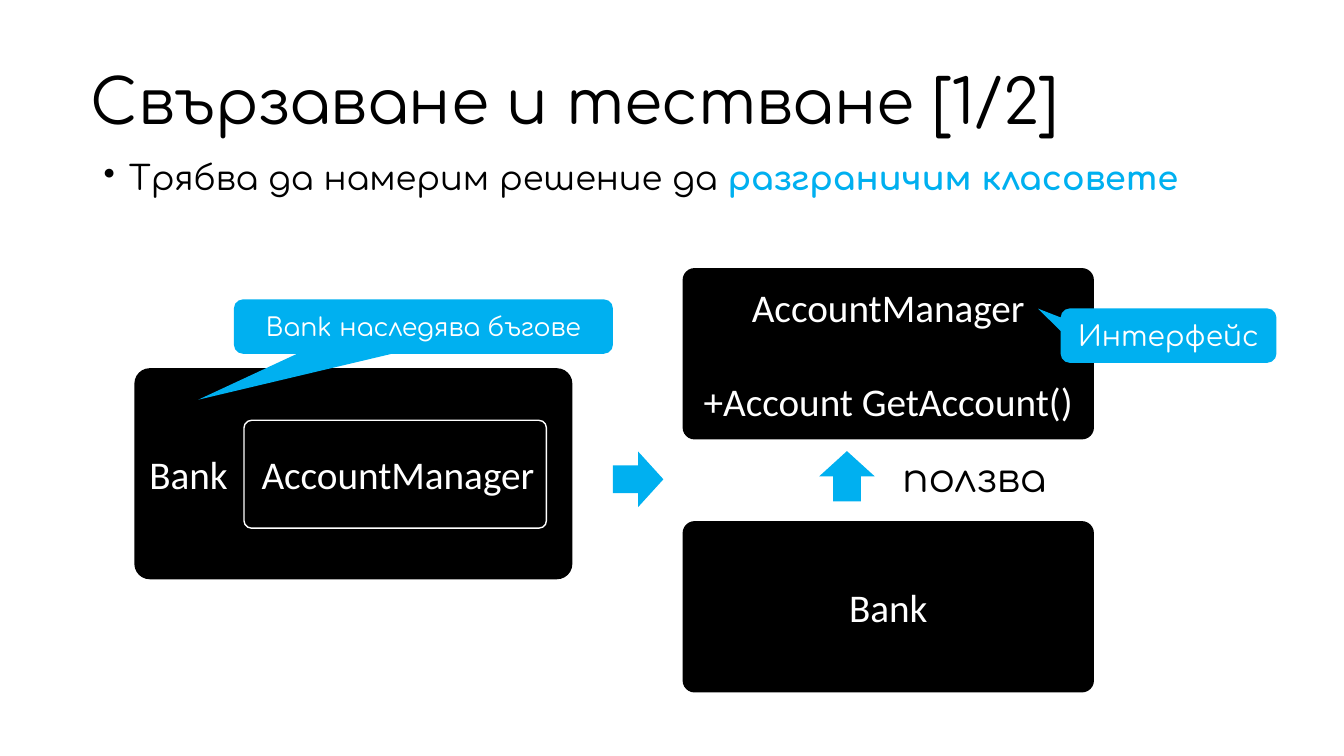
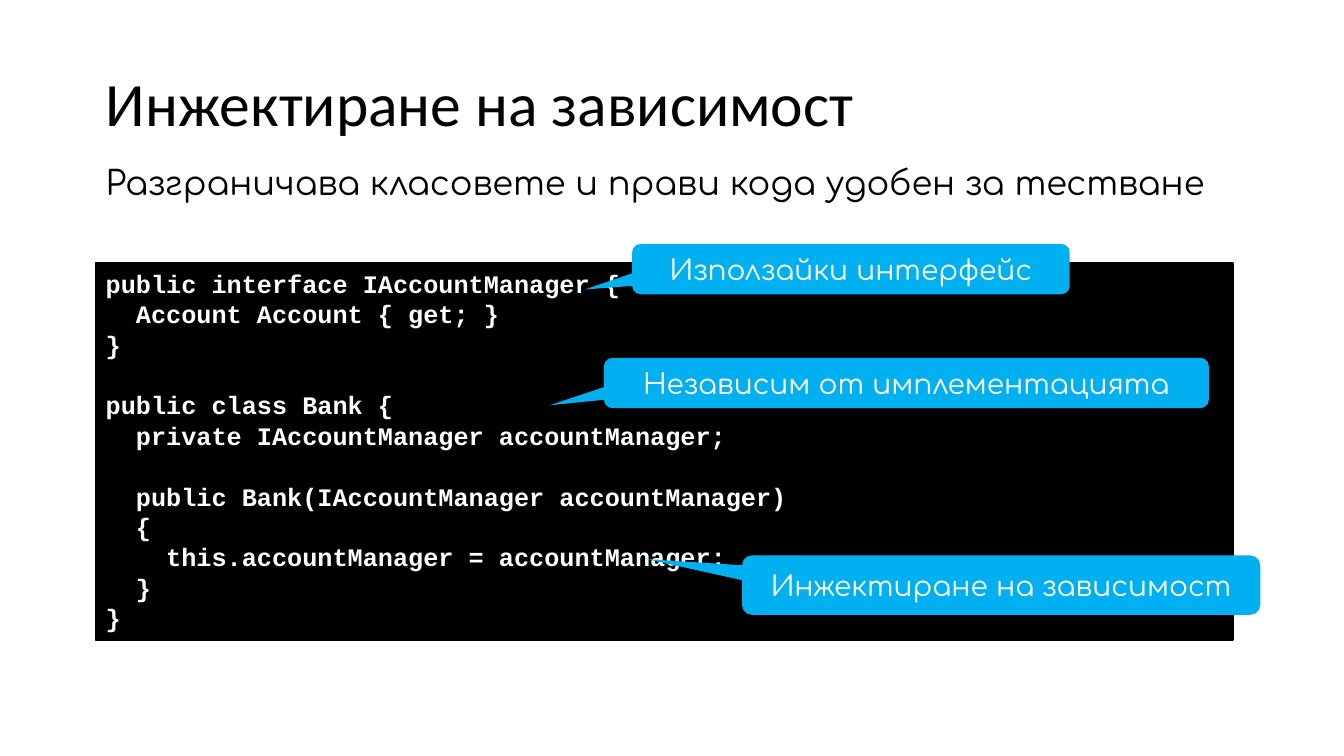
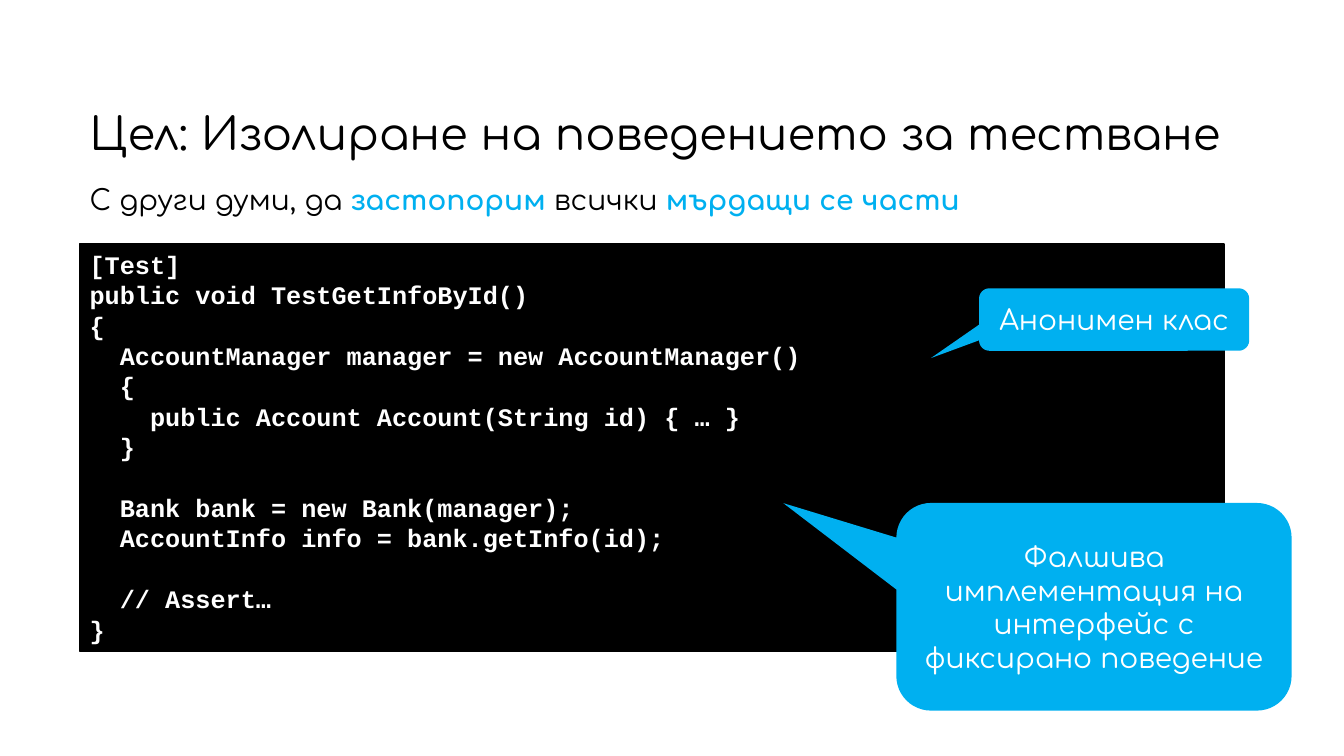
import dataclasses

import pptx
import pptx.dml.color
import pptx.enum.shapes
import pptx.enum.text
import pptx.oxml.ns
import pptx.util
from lxml import etree

Inches = pptx.util.Inches
Shapes = pptx.enum.shapes.MSO_SHAPE
Align = pptx.enum.text.PP_ALIGN
Anchor = pptx.enum.text.MSO_ANCHOR


@dataclasses.dataclass(frozen=True)
class Theme:
    black: str = "000000"
    white: str = "FFFFFF"
    accent: str = "00B0F0"
    display_font: str = "Comfortaa"
    plain_font: str = "Calibri"
    code_font: str = "Courier New"
    title_size: float = 44
    long_title_size: float = 32
    body_size: float = 24
    diagram_size: float = 28
    diagram_line: float = 34
    callout_size: float = 20
    small_size: float = 18
    code_line: float = 21.7
    text_spacing: float = 0.9
    box_corner: float = 0.07
    callout_corner: float = 0.167


THEME = Theme()

INTERFACE_CODE = """public interface IAccountManager {
  Account Account { get; }
}

public class Bank {
  private IAccountManager accountManager;

  public Bank(IAccountManager accountManager)
  {
    this.accountManager = accountManager;
  }
}"""

TEST_CODE = """[Test]
public void TestGetInfoById()
{
  AccountManager manager = new AccountManager()
  {
    public Account Account(String id) { … }
  }

  Bank bank = new Bank(manager);
  AccountInfo info = bank.getInfo(id);

  // Assert…
}"""


def rgb(color):
    return pptx.dml.color.RGBColor.from_string(color)


def add_bullet(paragraph, indent=0.25):
    properties = paragraph._p.get_or_add_pPr()
    properties.set("marL", str(Inches(indent)))
    properties.set("indent", str(-Inches(indent)))
    bullet = etree.SubElement(properties, pptx.oxml.ns.qn("a:buChar"))
    bullet.set("char", "•")


def write_text(shape, lines, size, font=THEME.display_font, color=THEME.black,
               bold=False, align=Align.LEFT, anchor=Anchor.TOP,
               spacing=None, gap=0, bullet=False):
    """Fill a shape; a line is a string or (text, emphasised) pairs.

    An empty line becomes a space of `gap` points before the next one.
    """
    frame = shape.text_frame
    frame.word_wrap = True
    frame.vertical_anchor = anchor
    paragraph, space = frame.paragraphs[0], 0
    for index, line in enumerate(lines):
        if not line:
            space += gap
            continue
        if index:
            paragraph = frame.add_paragraph()
        if bullet:
            add_bullet(paragraph)
        paragraph.alignment = align
        if spacing:
            paragraph.line_spacing = spacing
        if space:
            paragraph.space_before = pptx.util.Pt(space)
            space = 0
        for text, emphasised in [(line, False)] if isinstance(line, str) else line:
            run = paragraph.add_run()
            run.text = text
            run.font.name = font
            run.font.size = pptx.util.Pt(size)
            run.font.bold = bold or emphasised
            run.font.color.rgb = rgb(THEME.accent if emphasised else color)


def add_text(slide, box, line, size, **text_format):
    shape = slide.shapes.add_textbox(*map(Inches, box))
    write_text(shape, [line], size, **text_format)


def add_title(slide, box, text, size=THEME.title_size, font=THEME.display_font):
    add_text(slide, box, text, size, font=font, anchor=Anchor.MIDDLE,
             spacing=THEME.text_spacing)


def add_body(slide, box, line, size=THEME.body_size, bullet=False):
    add_text(slide, box, line, size, spacing=THEME.text_spacing, bullet=bullet)


def add_block(slide, kind, box, fill, line=None, adjustments=()):
    shape = slide.shapes.add_shape(kind, *map(Inches, box))
    shape.shadow.inherit = False
    shape.fill.solid()
    shape.fill.fore_color.rgb = rgb(fill)
    if line:
        shape.line.color.rgb = rgb(line)
        shape.line.width = pptx.util.Pt(1)
    else:
        shape.line.fill.background()
    for index, value in enumerate(adjustments):
        shape.adjustments[index] = value
    return shape


def add_class_box(slide, box, lines, line=None, align=Align.CENTER):
    shape = add_block(slide, Shapes.ROUNDED_RECTANGLE, box, THEME.black, line,
                      [THEME.box_corner])
    write_text(shape, lines, THEME.diagram_size, font=THEME.plain_font,
               color=THEME.white, align=align, anchor=Anchor.MIDDLE,
               gap=THEME.diagram_line)


def add_callout(slide, box, tip, text, size=THEME.callout_size):
    shape = add_block(slide, Shapes.ROUNDED_RECTANGULAR_CALLOUT, box, THEME.accent,
                      adjustments=(*tip, THEME.callout_corner))
    write_text(shape, [text], size, color=THEME.white, align=Align.CENTER,
               anchor=Anchor.MIDDLE)


def add_arrow(slide, left, top, rotation=0):
    arrow = add_block(slide, Shapes.RIGHT_ARROW, (left, top, 0.5, 0.55), THEME.accent)
    arrow.rotation = rotation


def add_code(slide, box, code):
    shape = add_block(slide, Shapes.RECTANGLE, box, THEME.black, THEME.black)
    write_text(shape, code.split("\n"), THEME.small_size, font=THEME.code_font,
               color=THEME.white, bold=True,
               spacing=pptx.util.Pt(THEME.code_line), gap=THEME.code_line)


def build_coupling(slide):
    add_title(slide, (0.8, 0.54, 11.74, 0.99), "Свързаване и тестване [1/2]")
    add_body(slide, (0.93, 1.55, 11.5, 0.6),
             [("Трябва да намерим решение да ", False),
              ("разграничим класовете", True)], bullet=True)
    # Coupled classes
    add_class_box(slide, (1.34, 3.66, 4.33, 2.08), ["Bank"], THEME.black, Align.LEFT)
    add_class_box(slide, (2.42, 4.17, 3, 1.07), ["AccountManager"], THEME.white,
                  Align.RIGHT)
    add_arrow(slide, 6.08, 4.48)
    # Separated classes
    add_class_box(slide, (6.77, 2.66, 4.08, 1.7),
                  ["AccountManager", "", "+Account GetAccount()"])
    add_class_box(slide, (6.77, 5.17, 4.08, 1.7), ["Bank"])
    add_arrow(slide, 8.15, 4.45, rotation=270)
    add_text(slide, (8.85, 4.45, 1.67, 0.57), "ползва", THEME.diagram_size)
    # Remarks
    add_callout(slide, (10.52, 3.06, 2.14, 0.54), (-0.605, -0.495), "Интерфейс")
    add_callout(slide, (2.32, 2.97, 3.76, 0.54), (-0.594, 1.344),
                "Bank наследява бъгове", THEME.small_size)


def build_injection(slide):
    left, width = 0.95, 11.28
    add_title(slide, (left, 0.52, width, 1.08), "Инжектиране на зависимост",
              font=THEME.plain_font)
    add_body(slide, (left, 1.6, width, 0.75),
             "Разграничава класовете и прави кода удобен за тестване")
    add_code(slide, (left, 2.61, width, 3.74), INTERFACE_CODE)
    add_callout(slide, (6.27, 2.42, 4.34, 0.5), (-0.608, 0.404),
                "Използайки интерфейс")
    add_callout(slide, (5.99, 3.55, 6, 0.5), (-0.59, 0.442),
                "Независим от имплементацията")
    add_callout(slide, (7.36, 5.51, 5.14, 0.59), (-0.684, -0.437),
                "Инжектиране на зависимост")


def build_isolation(slide):
    left, width = 0.79, 11.86
    add_title(slide, (left, 0.87, width, 0.95),
              "Цел: Изолиране на поведението за тестване", THEME.long_title_size)
    add_body(slide, (left, 1.8, width, 0.62),
             [("С други думи, да ", False), ("застопорим ", True),
              ("всички ", False), ("мърдащи се части", True)], THEME.callout_size)
    add_code(slide, (left, 2.42, 11.35, 4.04), TEST_CODE)
    add_callout(slide, (8.89, 4.99, 3.92, 2.06), (-0.786, -0.499),
                "Фалшива имплементация на интерфейс с фиксирано поведение")
    add_callout(slide, (9.71, 2.86, 2.68, 0.62), (-0.678, 0.617), "Анонимен клас")


def main():
    presentation = pptx.Presentation()
    presentation.slide_width = Inches(13.33)
    presentation.slide_height = Inches(7.5)
    blank_layout = presentation.slide_layouts[6]
    for build in (build_coupling, build_injection, build_isolation):
        build(presentation.slides.add_slide(blank_layout))
    presentation.save("out.pptx")


if __name__ == "__main__":
    main()
